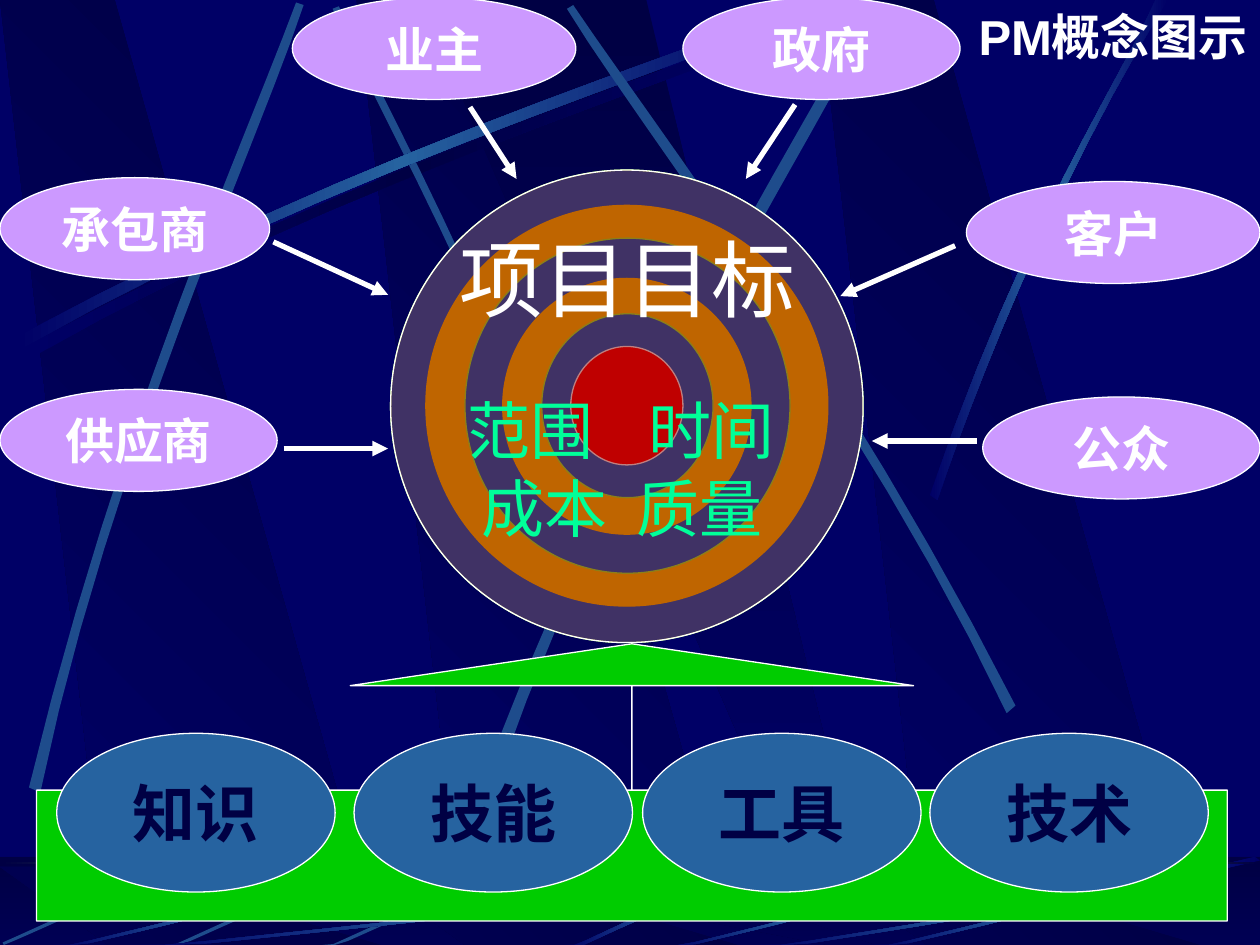
from copy import deepcopy
from lxml import etree
from pptx import Presentation
from pptx.dml.color import RGBColor
from pptx.enum import shapes, text
from pptx.oxml.ns import qn
from pptx.util import Inches, Pt

NAVY = RGBColor(0x00, 0x00, 0x66)
DARK = RGBColor(0x00, 0x00, 0x44)
STEEL = RGBColor(0x26, 0x63, 0xA0)
BEAM = RGBColor(0x1E, 0x4C, 0x8C)
HORIZON = RGBColor(0x9C, 0xE1, 0x57)
WHITE = RGBColor(0xFF, 0xFF, 0xFF)
LILAC = RGBColor(0xCC, 0x99, 0xFF)
GREEN = RGBColor(0x00, 0xCC, 0x00)
LIME = RGBColor(0x99, 0xFF, 0x33)
MINT = RGBColor(0x00, 0xFF, 0x99)
BLUE = RGBColor(0x00, 0x66, 0xCC)
GOLD = RGBColor(0xFF, 0xCC, 0x00)
RED = RGBColor(0xFF, 0x00, 0x00)
MAROON = RGBColor(0x80, 0x00, 0x00)
CJK = "Noto Sans CJK SC"
OVAL = shapes.MSO_SHAPE.OVAL
RECT = shapes.MSO_SHAPE.RECTANGLE

prs = Presentation()
prs.slide_width, prs.slide_height = Inches(10), Inches(7.5)
s = prs.slides.add_slide(prs.slide_layouts[6])
s.background.fill.solid()
s.background.fill.fore_color.rgb = NAVY


def paint(sp, colors, angle=0, line=None, alpha=None):
    """Fill a shape with one colour or an even gradient, and set its outline."""
    sp.shadow.inherit = False
    if len(colors) == 1:
        sp.fill.solid()
        sp.fill.fore_color.rgb = colors[0]
    else:
        sp.fill.gradient()
        sp.fill.gradient_angle = angle
        stops = sp._element.spPr.find(".//" + qn("a:gsLst"))
        while len(stops) < len(colors):
            stops.append(deepcopy(stops[-1]))
        for i, (stop, color) in enumerate(zip(sp.fill.gradient_stops, colors)):
            stop.position = i / (len(colors) - 1)
            stop.color.rgb = color
    if alpha is not None:
        clr = sp._element.spPr.find(".//" + qn("a:srgbClr"))
        etree.SubElement(clr, qn("a:alpha")).set("val", str(alpha * 1000))
    if line is None:
        sp.line.fill.background()
    else:
        sp.line.color.rgb = line
        sp.line.width = Pt(0.75)


def write(sp, words, size=28, color=WHITE, font="Arial", bold=True,
          align=text.PP_ALIGN.CENTER, inset=0.1):
    """Put one line of formatted text in the middle of a shape."""
    tf = sp.text_frame
    tf.word_wrap = True
    tf.vertical_anchor = text.MSO_ANCHOR.MIDDLE
    tf.margin_left = tf.margin_right = Inches(inset)
    p = tf.paragraphs[0]
    p.alignment = align
    r = p.add_run()
    r.text = words
    r.font.size, r.font.bold, r.font.name = Pt(size), bold, font
    r.font.color.rgb = color
    etree.SubElement(r._r.get_or_add_rPr(), qn("a:ea")).set("typeface", CJK)


# Backdrop: panels are (x, share of band height); a streak is two Bezier edges
fade, glow, shade = (NAVY, STEEL, NAVY), (BEAM,), (NAVY, DARK, NAVY)
panels = [([(x + 0.86, 1), (x + 3.02, 1), (x + 0.91, 0), (x, 0)], 225) for x in (2.83, 0, 6.5)]
panels.append(([(3.33, 0), (6.58, 1), (6.94, 1), (5.13, 0)], 270))
sky = [
    (shade, [(0.2, 2.75), (2.84, 1.34), (5.24, 0.59), (6.26, 0.18),
             (6.29, 0.24), (5.28, 0.69), (2.54, 1.51), (0.23, 2.85)]),
    (glow, [(4.6, 4.36), (3.91, 2.34), (3.02, 0.77), (2.69, 0.05),
            (2.64, 0.07), (2.95, 0.79), (3.98, 2.58), (4.54, 4.39)]),
    (fade, [(0.14, 2.67), (2.78, 1.25), (5.18, 0.51), (6.2, 0.1),
            (6.23, 0.16), (5.22, 0.61), (2.48, 1.43), (0.17, 2.77)]),
    (glow, [(0.23, 6.25), (0.93, 3.34), (1.97, 1.05), (2.35, 0.02),
            (2.41, 0.04), (2.07, 1.08), (0.86, 3.68), (0.32, 6.29)]),
    (glow, [(3.85, 6.14), (4.98, 3.2), (6.38, 1.02), (6.92, 0),
            (6.98, 0.04), (6.49, 1.08), (4.86, 3.55), (3.94, 6.21)]),
    (glow, [(8.06, 5.6), (6.7, 2.93), (5.16, 0.95), (4.55, 0.04),
            (4.5, 0.07), (5.07, 1.01), (6.85, 3.25), (7.99, 5.66)]),
    (fade, [(7.38, 3.93), (8.14, 1.73), (8.88, 0.66), (9.17, 0),
            (9.27, 0), (8.36, 1.45), (7.69, 3.22), (7.44, 3.97)]),
]
floor = [(fade, [(6.27, 6.82), (5.37, 7.09), (4.77, 7.42), (4.48, 7.54),
                 (4.53, 7.55), (4.9, 7.37), (5.71, 7), (6.28, 6.85)])]
for x, y in ((2.56, 0), (1.31, 0), (0.02, -0.05)):
    floor.append((glow, [(x + dx, y + dy) for dx, dy in (
        (1.86, 6.8), (0.99, 7.05), (0.31, 7.4), (0, 7.53),
        (0.01, 7.55), (0.32, 7.43), (1.09, 7.03), (1.88, 6.83))]))
for x, y, width in ((1, 6.8, 6.17), (0.42, 6.8, 2.67), (5.27, 6.89, 2.31),
                    (6.92, 6.8, 2.67), (6, 6.8, 4)):
    floor.append((fade, [(x + fx * width, y + fy * (7.55 - y)) for fx, fy in (
        (1, 0.04), (0.57, 0.57), (0.17, 0.85), (0.01, 1),
        (0, 0.99), (0.17, 0.81), (0.62, 0.51), (0.99, 0))]))

for top, height, streaks in ((0, 7.5, sky), (6.88, 0.62, floor)):
    if streaks is floor:
        ground = s.shapes.add_shape(RECT, 0, Inches(6.8), Inches(10), Inches(0.7))
        paint(ground, (DARK, NAVY), 270)
    outlines = [((DARK, NAVY), angle, [(x, top + share * height) for x, share in corners])
                for corners, angle in panels]
    for colors, edge in streaks:
        points = []
        for a, b, c, d in (edge[:4], edge[4:]):
            for t in (i / 12 for i in range(13)):
                points.append([(1 - t) ** 3 * a[k] + 3 * t * (1 - t) ** 2 * b[k]
                               + 3 * t * t * (1 - t) * c[k] + t ** 3 * d[k] for k in (0, 1)])
        outlines.append((colors, 180, points))
    for i, (colors, angle, points) in enumerate(outlines):
        if streaks is floor and i == len(panels):
            veil = s.shapes.add_shape(RECT, 0, Inches(6.8), Inches(10), Inches(0.7))
            paint(veil, (DARK,), alpha=50)
        points = [(Inches(x), Inches(min(y, 7.5))) for x, y in points]
        builder = s.shapes.build_freeform(*points[0])
        builder.add_line_segments(points[1:], close=True)
        paint(builder.convert_to_shape(), colors, angle)
horizon = s.shapes.add_shape(RECT, 0, Inches(6.84), Inches(10), Inches(0.02))
paint(horizon, (DARK, HORIZON, DARK), 180, alpha=None)

# Support base
base = s.shapes.add_shape(shapes.MSO_SHAPE.UP_ARROW_CALLOUT,
                          Inches(0.29), Inches(5.11), Inches(9.45), Inches(2.2))
for i, value in enumerate((0, 1.016, 0.151, 0.472)):
    base.adjustments[i] = value
paint(base, (GREEN,), line=WHITE)
for x, words in ((0.45, "知识"), (2.81, "技能"), (5.1, "工具"), (7.38, "技术")):
    sp = s.shapes.add_shape(OVAL, Inches(x), Inches(5.82), Inches(2.21), Inches(1.26))
    paint(sp, (STEEL,), line=WHITE)
    write(sp, words, size=36, color=DARK)

# Target
for x, y, w, h, color, line, alpha in (
        (3.1, 1.35, 3.75, 3.75, BLUE, LIME, None),
        (3.38, 1.63, 3.19, 3.18, GOLD, GOLD, None),
        (3.69, 1.89, 2.58, 2.66, BLUE, LIME, None),
        (3.99, 2.21, 1.97, 2.03, GOLD, GOLD, None),
        (4.3, 2.49, 1.36, 1.46, BLUE, LIME, None),
        (4.53, 2.75, 0.89, 0.94, RED, WHITE, None),
        (3.1, 1.35, 3.75, 3.75, MAROON, WHITE, 50)):
    ring = s.shapes.add_shape(OVAL, Inches(x), Inches(y), Inches(w), Inches(h))
    paint(ring, (color,), line=line, alpha=alpha)
goal = s.shapes.add_textbox(Inches(3.02), Inches(1.81), Inches(3.92), Inches(0.8))
write(goal, "项目目标", size=48, font=CJK, bold=False)
for x, y, gap, words in ((3.71, 3.11, 1.44, "范围\t时间"), (3.82, 3.73, 1.23, "成本\t质量")):
    sp = s.shapes.add_textbox(Inches(x), Inches(y), Inches(2.7), Inches(0.6))
    write(sp, words, size=36, color=MINT, font=CJK, bold=False,
          align=text.PP_ALIGN.LEFT, inset=0)
    tabs = etree.SubElement(sp.text_frame.paragraphs[0]._p.get_or_add_pPr(), qn("a:tabLst"))
    etree.SubElement(tabs, qn("a:tab"), pos=str(Inches(gap)), algn="l")

# Stakeholders with arrows to the target
for words, x, y, w, start, end, font in (
        ("承包商", 0, 1.41, 2.14, (2.17, 1.92), (3.08, 2.34), "Arial"),
        ("业主", 2.32, -0.02, 2.25, (3.73, 0.85), (4.1, 1.42), "Arial"),
        ("政府", 5.42, -0.02, 2.2, (6.31, 0.83), (5.92, 1.42), "Arial"),
        ("客户", 7.67, 1.44, 2.33, (7.58, 1.95), (6.67, 2.35), "Arial"),
        ("供应商", 0, 3.09, 2.2, (2.25, 3.56), (3.08, 3.56), "Times New Roman"),
        ("公众", 7.8, 3.15, 2.2, (7.75, 3.5), (6.92, 3.5), "Arial")):
    sp = s.shapes.add_shape(OVAL, Inches(x), Inches(y), Inches(w), Inches(0.81))
    paint(sp, (LILAC,), line=WHITE)
    write(sp, words, font=font)
    arrow = s.shapes.add_connector(shapes.MSO_CONNECTOR.STRAIGHT,
                                   *(Inches(v) for v in start + end))
    arrow.line.color.rgb = WHITE
    arrow.line.width = Pt(3)
    etree.SubElement(arrow.line._get_or_add_ln(), qn("a:tailEnd")).set("type", "triangle")
    etree.SubElement(arrow._element.spPr, qn("a:effectLst"))

title = s.shapes.add_textbox(Inches(7.45), 0, Inches(2.55), Inches(0.57))
write(title, "PM概念图示", align=text.PP_ALIGN.RIGHT)

prs.save("out.pptx")
